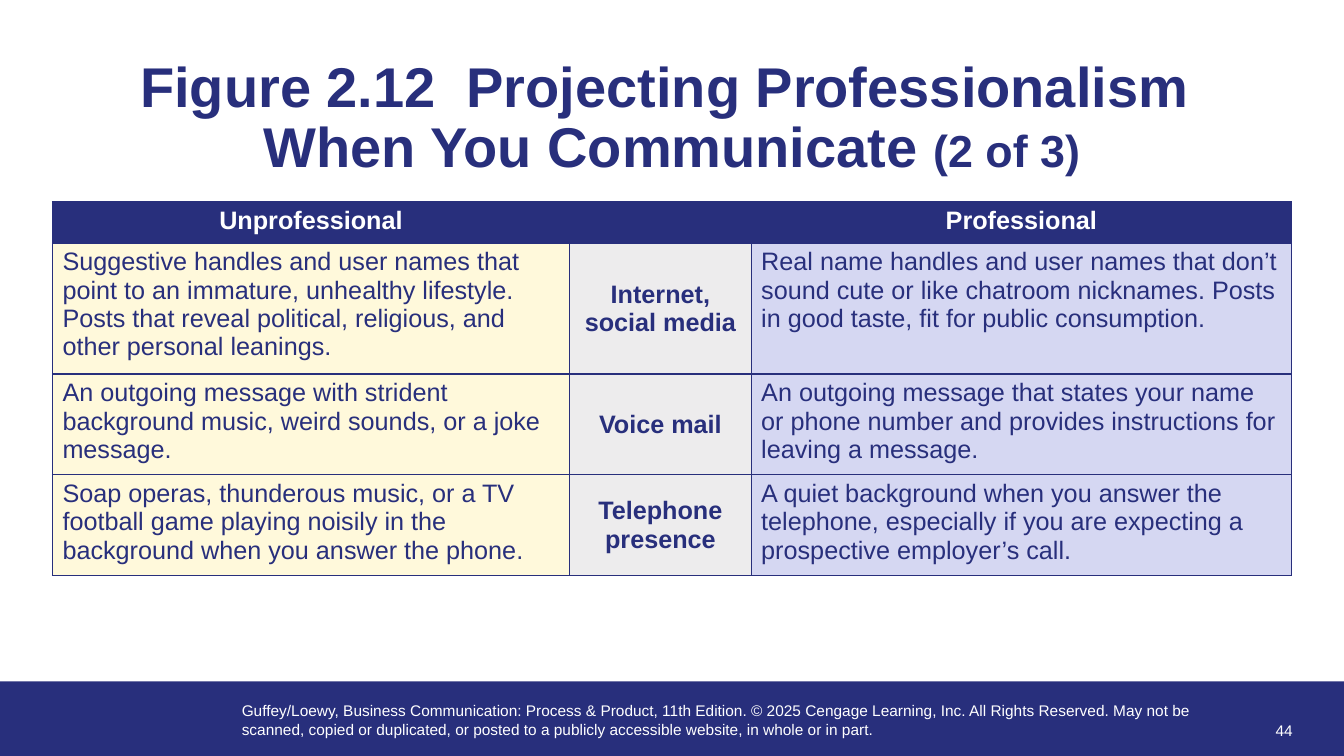
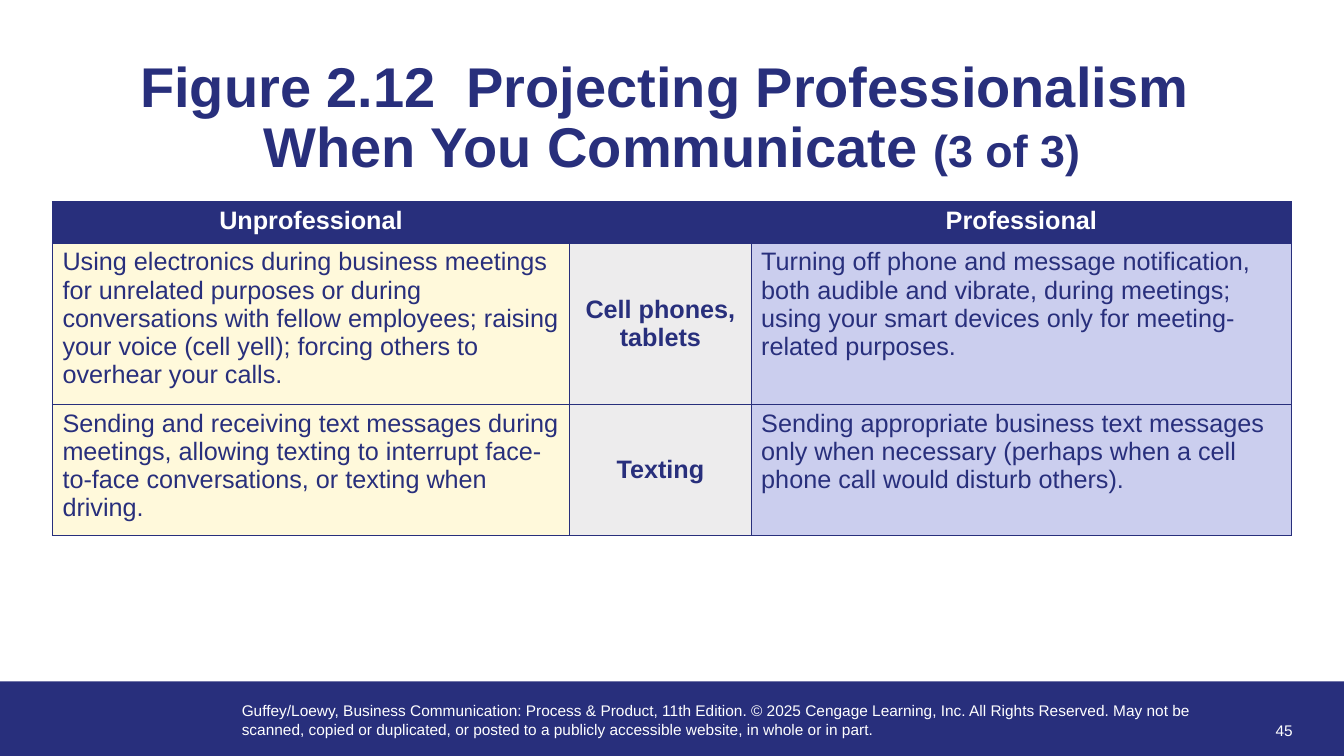
from dataclasses import dataclass

from lxml.etree import SubElement
from pptx import Presentation
from pptx.dml.color import RGBColor as RGB
from pptx.enum.shapes import MSO_SHAPE as SHAPE
from pptx.enum.text import MSO_ANCHOR as ANCHOR, MSO_AUTO_SIZE as AUTO, PP_ALIGN as ALIGN
from pptx.oxml.ns import qn
from pptx.util import Inches, Pt


@dataclass(frozen=True)
class Theme:
    font: str = "Arial"
    navy: str = "282F7C"
    white: str = "FFFFFF"
    cream: str = "FFF9DB"
    grey: str = "EDECED"
    lilac: str = "D5D7F2"
    violet: str = "CBCEEE"
    title: int = 40
    counter: int = 32
    body: int = 18
    small: int = 11


T = Theme()
W, H = 13.33, 7.5
MARGIN = 0.52
BAND_BOX = (0, 6.76, W, H - 6.76)
TITLE_BOX = (MARGIN, MARGIN, W - 2 * MARGIN, 1.33)
TABLE_BOX = (MARGIN, 2, W - 2 * MARGIN)
COLUMNS = (5.13, 1.8, 5.36)
ROW = 0.41
HEADS = ("Unprofessional", "", "Professional")
TITLE = ("Figure 2.12  Projecting Professionalism ", "When You Communicate ")
COPYRIGHT = (
    "Guffey/Loewy, Business Communication: Process & Product, 11th Edition. "
    "© 2025 Cengage Learning, Inc. All Rights Reserved. May not be scanned, copied or "
    "duplicated, or posted to a publicly accessible website, in whole or in part."
)

SLIDES = [
    dict(number=44, counter="(2 of 3)", good_fill=T.lilac, rows=[
        ("Suggestive handles and user names that point to an immature, unhealthy lifestyle. "
         "Posts that reveal political, religious, and other personal leanings.",
         "Internet, social media",
         "Real name handles and user names that don’t sound cute or like chatroom nicknames. "
         "Posts in good taste, fit for public consumption."),
        ("An outgoing message with strident background music, weird sounds, or a joke message.",
         "Voice mail",
         "An outgoing message that states your name or phone number and provides "
         "instructions for leaving a message."),
        ("Soap operas, thunderous music, or a TV football game playing noisily in the "
         "background when you answer the phone.",
         "Telephone presence",
         "A quiet background when you answer the telephone, especially if you are "
         "expecting a prospective employer’s call."),
    ]),
    dict(number=45, counter="(3 of 3)", good_fill=T.violet, rows=[
        ("Using electronics during business meetings for unrelated purposes or during "
         "conversations with fellow employees; raising your voice (cell yell); forcing "
         "others to overhear your calls.",
         "Cell phones, tablets",
         "Turning off phone and message notification, both audible and vibrate, during "
         "meetings; using your smart devices only for meeting-related purposes."),
        ("Sending and receiving text messages during meetings, allowing texting to "
         "interrupt face-to-face conversations, or texting when driving.",
         "Texting",
         "Sending appropriate business text messages only when necessary (perhaps when "
         "a cell phone call would disturb others)."),
    ]),
]


def inches(box):
    return [Inches(v) for v in box]


def add_run(p, text, color, size, bold=False):
    r = p.add_run()
    r.text = text
    for name, value in dict(name=T.font, size=Pt(size), bold=bold).items():
        setattr(r.font, name, value)
    r.font.color.rgb = RGB.from_string(color)


def paint(fill, color):
    fill.solid()
    fill.fore_color.rgb = RGB.from_string(color)


def add_label(s, box, text, align=ALIGN.LEFT, anchor=ANCHOR.TOP):
    tf = s.shapes.add_textbox(*inches(box)).text_frame
    for name, value in dict(word_wrap=True, vertical_anchor=anchor).items():
        setattr(tf, name, value)
    p = tf.paragraphs[0]
    p.alignment = align
    add_run(p, text, T.white, T.small)


# Footer band with copyright line and slide number
def add_footer(s, box, number):
    x, y, w, _ = box
    band = s.shapes.add_shape(SHAPE.RECTANGLE, *inches(box))
    band.shadow.inherit = False
    band.line.fill.background()
    paint(band.fill, T.navy)
    add_label(s, (x + 2.3, y + 0.15, 9.8, 0.47), COPYRIGHT)
    add_label(s, (x + w - 1.21, y + 0.29, 0.8, 0.4), str(number), ALIGN.RIGHT, ANCHOR.MIDDLE)


# Two-line title, with the counter in smaller type
def add_title(s, box, counter):
    sp = s.shapes.title
    for name, value in zip(("left", "top", "width", "height"), inches(box)):
        setattr(sp, name, value)
    tf = sp.text_frame
    for name, value in dict(word_wrap=True, auto_size=AUTO.NONE,
                            vertical_anchor=ANCHOR.MIDDLE).items():
        setattr(tf, name, value)
    p = tf.paragraphs[0]
    p.alignment, p.line_spacing = ALIGN.CENTER, 0.9
    first, second = TITLE
    add_run(p, first, T.navy, T.title, True)
    p.add_line_break()
    add_run(p, second, T.navy, T.title, True)
    add_run(p, counter, T.navy, T.counter, True)


def add_borders(cell):
    tc_pr = cell._tc.get_or_add_tcPr()
    for side in ("lnL", "lnR", "lnT", "lnB"):
        ln = SubElement(tc_pr, qn(f"a:{side}"), w=str(Pt(1)))
        fill = SubElement(ln, qn("a:solidFill"))
        SubElement(fill, qn("a:srgbClr"), val=T.navy)


def fill_cell(cell, text, fill, color, centred, bold, anchor):
    add_borders(cell)
    paint(cell.fill, fill)
    cell.vertical_anchor = anchor
    p = cell.text_frame.paragraphs[0]
    p.alignment = ALIGN.CENTER if centred else ALIGN.LEFT
    if text:
        add_run(p, text, color, T.body, bold)


# Comparison table: habits to avoid, topic, habits to adopt
def add_comparison(s, box, rows, good_fill):
    x, y, w = box
    n = len(rows) + 1
    table = s.shapes.add_table(n, len(COLUMNS), *inches((x, y, w, n * ROW))).table
    table.horz_banding = False
    for col, width in zip(table.columns, COLUMNS):
        col.width = Inches(width)
    for c, head in enumerate(HEADS):
        fill_cell(table.cell(0, c), head, T.navy, T.white, True, True, ANCHOR.TOP)
    fills = (T.cream, T.grey, good_fill)
    for i, row in enumerate(rows, 1):
        for c, (text, fill) in enumerate(zip(row, fills)):
            topic = c == 1
            anchor = ANCHOR.MIDDLE if topic else ANCHOR.TOP
            fill_cell(table.cell(i, c), text, fill, T.navy, topic, topic, anchor)


def add_figure_slide(prs, number, counter, good_fill, rows):
    s = prs.slides.add_slide(prs.slide_layouts[5])
    paint(s.background.fill, T.white)
    add_footer(s, BAND_BOX, number)
    add_title(s, TITLE_BOX, counter)
    add_comparison(s, TABLE_BOX, rows, good_fill)


def main():
    prs = Presentation()
    prs.slide_width, prs.slide_height = Inches(W), Inches(H)
    for content in SLIDES:
        add_figure_slide(prs, **content)
    prs.save("out.pptx")


if __name__ == "__main__":
    main()
